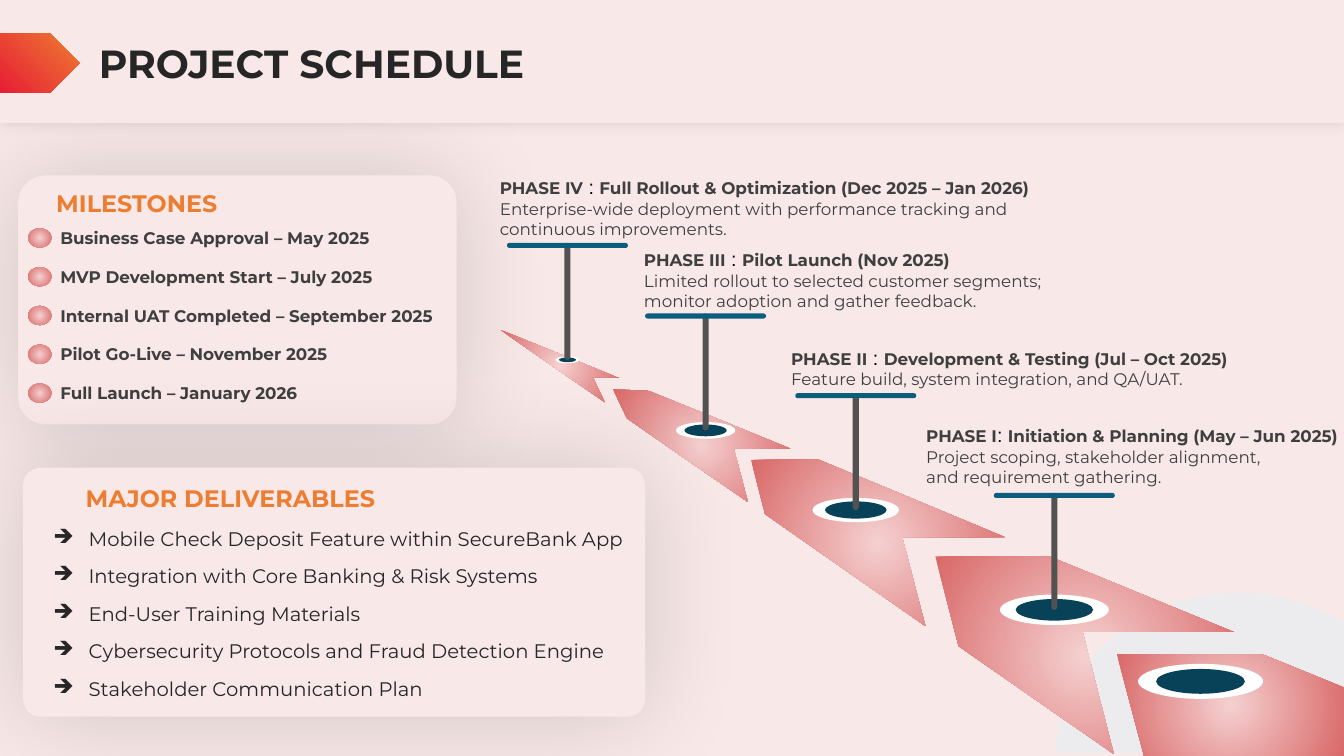
from dataclasses import dataclass

from lxml import etree
from pptx import Presentation
from pptx import util as u
from pptx.dml.color import RGBColor
from pptx.enum import shapes, text
from pptx.oxml.ns import qn

CELL = u.Inches(0.1)
COLUMNS, ROWS = 133.33, 75


@dataclass(frozen=True)
class Theme:
    font: str = "Montserrat"
    separator_font: str = "Arial"
    background: str = "F8E8E8"
    title: str = "262626"
    heading: str = "ED7D31"
    body: str = "3F3F3F"
    black: str = "000000"
    white: str = "FFFFFF"
    red: str = "E71D36"
    glow: str = "F5D0D0"
    road: str = "D96868"
    hole: str = "084259"
    stem: str = "525252"
    bar: str = "0B5D7E"
    cloud: str = "D3F4FF"
    title_size: int = 28
    heading_size: int = 17
    list_size: int = 14
    body_size: int = 12


@dataclass(frozen=True)
class Box:
    left: float
    top: float
    width: float
    height: float

    def area(self, column, row, width, height):
        return Box(self.left + column, self.top + row, width, height)

    def emu(self):
        return [round(v * CELL) for v in (self.left, self.top, self.width, self.height)]


THEME = Theme()
OVAL = shapes.MSO_SHAPE.OVAL
ROUNDED = shapes.MSO_SHAPE.ROUNDED_RECTANGLE

MILESTONES = [
    "Business Case Approval – May 2025",
    "MVP Development Start – July 2025",
    "Internal UAT Completed – September 2025",
    "Pilot Go-Live – November 2025",
    "Full Launch – January 2026",
]
DELIVERABLES = [
    "Mobile Check Deposit Feature within SecureBank App",
    "Integration with Core Banking & Risk Systems",
    "End-User Training Materials",
    "Cybersecurity Protocols and Fraud Detection Engine",
    "Stakeholder Communication Plan",
]
ARROWS = [
    [(39.5, 21.3), (49.7, 21.3), (31.2, 13.6), (24.5, 13.6), (25.9, 19), (41.8, 30.1)],
    [(22.8, 12.5), (28.4, 12.5), (14.4, 6.8), (10.8, 6.6), (12.2, 9.5), (24.2, 17.8)],
    [(8.8, 5.4), (11.4, 5.5), (-0.4, 0.7), (10, 7.9)],
    [(75.2, 32.9), (60.8, 32.9), (63.5, 43), (83.33, 43), (83.33, 36.2)],
    [(57.4, 30.7), (72.4, 30.7), (54.1, 23.2), (42.8, 23.2), (45.1, 32.1), (60.5, 42.8)],
]
PINS = [(54.6, 16.9, 10.8), (34.9, 7, 8.6), (20, -0.9, 5.9), (6.3, -7.9, 2.4)]
PHASES = [
    (40.9, 9.5, 42.4, "PHASE I", ": ", "Initiation & Planning (May – Jun 2025)",
     ["Project scoping, stakeholder alignment,", "and requirement gathering."]),
    (27.5, 1.8, 45.5, "PHASE II", " : ", "Development & Testing (Jul – Oct 2025)",
     ["Feature build, system integration, and QA/UAT."]),
    (12.9, -8, 43, "PHASE III", " : ", "Pilot Launch (Nov 2025)",
     ["Limited rollout to selected customer segments; monitor adoption and gather feedback."]),
    (-1.4, -15.1, 57.2, "PHASE IV", " : ", "Full Rollout & Optimization (Dec 2025 – Jan 2026)",
     ["Enterprise-wide deployment with performance tracking and continuous improvements."]),
]


def color(value):
    return RGBColor.from_string(value)


def finish(shape, fill):
    shape.shadow.inherit = False
    shape.line.fill.background()
    if fill:
        shape.fill.solid()
        shape.fill.fore_color.rgb = color(fill)
    return shape


def add_shape(slide, kind, box, fill=None, adjustment=None):
    shape = finish(slide.shapes.add_shape(kind, *box.emu()), fill)
    if adjustment is not None:
        shape.adjustments[0] = adjustment
    return shape


def add_outline(slide, box, points, fill=None):
    corners = [(x * CELL, y * CELL) for x, y in points]
    builder = slide.shapes.build_freeform(*corners[0])
    builder.add_line_segments(corners[1:], close=True)
    left, top = box.emu()[:2]
    return finish(builder.convert_to_shape(left, top), fill)


def gradient(shape, first, last):
    shape.fill.gradient()
    for stop, value in zip(shape.fill.gradient_stops, (first, last)):
        stop.color.rgb = color(value)


def radial(shape):
    gradient(shape, THEME.glow, THEME.road)
    linear = shape.element.spPr.find(".//" + qn("a:lin"))
    circle = etree.Element(qn("a:path"), path="circle")
    etree.SubElement(circle, qn("a:fillToRect"), l="50000", t="50000", r="50000", b="50000")
    linear.getparent().replace(linear, circle)


def set_alpha(color_element, percent):
    etree.SubElement(color_element, qn("a:alpha"), val=str(percent * 1000))


def add_shadow(shape, percent, blur):
    effects = shape.element.spPr.find(qn("a:effectLst"))
    shadow = etree.SubElement(effects, qn("a:outerShdw"), blurRad=str(u.Pt(blur)),
                              dist="0", dir="0", algn="ctr", rotWithShape="0")
    set_alpha(etree.SubElement(shadow, qn("a:srgbClr"), val=THEME.black), percent)


def style(item, size, value, bold=False, font=THEME.font):
    item.font.name, item.font.size, item.font.bold = font, u.Pt(size), bold
    item.font.color.rgb = color(value)


def add_text(slide, box):
    frame = slide.shapes.add_textbox(*box.emu()).text_frame
    frame.word_wrap = True
    frame.margin_right = 0
    return frame


def bezier(a, b, c, d, steps=16):
    for step in range(1, steps + 1):
        t = step / steps
        weights = ((1 - t) ** 3, 3 * t * (1 - t) ** 2, 3 * t * t * (1 - t), t ** 3)
        yield tuple(sum(w * p[axis] for w, p in zip(weights, (a, b, c, d))) for axis in (0, 1))


def draw_header(slide, box):
    band = add_shape(slide, shapes.MSO_SHAPE.RECTANGLE, box, THEME.background)
    add_shadow(band, 10, 10)
    tag = add_shape(slide, shapes.MSO_SHAPE.PENTAGON, box.area(0, 3.3, 7.9, 5.9), adjustment=0.5)
    gradient(tag, THEME.heading, THEME.red)
    tag.fill.gradient_angle = 225
    title = slide.shapes.title
    title.left, title.top, title.width, title.height = box.area(8.8, 3.3, 124.5, 5.9).emu()
    title.text_frame.text = "PROJECT SCHEDULE"
    title.text_frame.vertical_anchor = text.MSO_ANCHOR.MIDDLE
    title.text_frame.paragraphs[0].alignment = text.PP_ALIGN.LEFT
    style(title.text_frame.paragraphs[0].runs[0], THEME.title_size, THEME.title, True)
    title.element.getparent().append(title.element)


def draw_card(slide, box, heading, indent, adjustment, anchor):
    card = add_shape(slide, ROUNDED, box, THEME.background, adjustment)
    add_shadow(card, 14, 74)
    frame = card.text_frame
    frame.text, frame.vertical_anchor, frame.word_wrap = heading, anchor, True
    paragraph = frame.paragraphs[0]
    paragraph.alignment = text.PP_ALIGN.LEFT
    paragraph._p.get_or_add_pPr().set("marL", str(u.Inches(indent)))
    style(paragraph.runs[0], THEME.heading_size, THEME.heading, True)
    return frame


def draw_milestones(slide, box):
    draw_card(slide, box, "MILESTONES", 0.2, 0.11, text.MSO_ANCHOR.TOP)
    for index, milestone in enumerate(MILESTONES):
        row = 4.7 + 3.85 * index
        radial(add_shape(slide, OVAL, box.area(1, row + 0.55, 2.3, 1.9)))
        frame = add_text(slide, box.area(3.2, row, 40, 3))
        frame.text = milestone
        style(frame.paragraphs[0].runs[0], THEME.body_size, THEME.body, True)


def draw_deliverables(slide, box):
    frame = draw_card(slide, box, "MAJOR DELIVERABLES", 0.47, 0.07, text.MSO_ANCHOR.MIDDLE)
    for deliverable in DELIVERABLES:
        paragraph = frame.add_paragraph()
        paragraph.text = deliverable
        properties = paragraph._p.get_or_add_pPr()
        properties.set("marL", str(u.Inches(0.5)))
        properties.set("indent", str(u.Inches(-0.35)))
        bullet_color = etree.SubElement(properties, qn("a:buClr"))
        etree.SubElement(bullet_color, qn("a:srgbClr"), val=THEME.title)
        etree.SubElement(properties, qn("a:buChar"), char="➔")
        paragraph.alignment = text.PP_ALIGN.LEFT
        paragraph.space_before = u.Pt(10)
        style(paragraph.runs[0], THEME.list_size, THEME.title)
    paragraph.space_after = u.Pt(10)


def draw_hole(slide, box, x, y, width):
    for share, fill in ((1, THEME.white), (0.71, THEME.hole)):
        w, h = width * share, width * share * 0.28
        add_shape(slide, OVAL, box.area(x - w / 2, y - h / 2, w, h), fill)


def draw_road(slide, box):
    top, left = (72.8, 26.8), (54.8, 42.4)
    right, shoulder = (82.7, 29.4), (60.1, 31.4)
    cloud = [top, *bezier(top, (76.3, 26.8), (79.7, 27.6), right),
             (83.33, 29.8), (83.33, 42.7), (54.9, 42.7), left,
             *bezier(left, (54.8, 38.4), (56.6, 34.4), shoulder),
             *bezier(shoulder, (63.6, 28.3), (68.2, 26.8), top)]
    shape = add_outline(slide, box, cloud, THEME.cloud)
    set_alpha(shape.element.spPr.find(".//" + qn("a:srgbClr")), 30)
    for points in ARROWS:
        radial(add_outline(slide, box, points))
    draw_hole(slide, box, 69.1, 35.6, 12.4)
    for x, y, width in PINS:
        draw_hole(slide, box, x, y + 11.6, width)
        add_shape(slide, ROUNDED, box.area(x - 0.3, y, 0.6, 11.6), THEME.stem, 0.5)
        add_shape(slide, ROUNDED, box.area(x - 6, y, 12, 0.5), THEME.bar, 0.5)


def draw_phases(slide, box):
    for column, row, width, label, separator, name, lines in PHASES:
        frame = add_text(slide, box.area(column, row, width, 7))
        for words in (label, separator, name):
            run = frame.paragraphs[0].add_run()
            run.text = words
            if words == separator:
                style(run, THEME.list_size, THEME.black, font=THEME.separator_font)
            else:
                style(run, THEME.body_size, THEME.body, True)
        for line in lines:
            paragraph = frame.add_paragraph()
            paragraph.text = line
            style(paragraph.runs[0], THEME.body_size, THEME.body)


def main():
    presentation = Presentation()
    presentation.slide_width = round(COLUMNS * CELL)
    presentation.slide_height = ROWS * CELL
    slide = presentation.slides.add_slide(presentation.slide_layouts[5])
    slide.background.fill.solid()
    slide.background.fill.fore_color.rgb = color(THEME.background)
    road = Box(50, 32, 83.33, 43)
    draw_milestones(slide, Box(1.8, 17.4, 43.5, 24.7))
    draw_header(slide, Box(0, 0, COLUMNS, 12.2))
    draw_road(slide, road)
    draw_phases(slide, road)
    draw_deliverables(slide, Box(2.3, 46.4, 61.7, 24.7))
    presentation.save("out.pptx")


if __name__ == "__main__":
    main()
